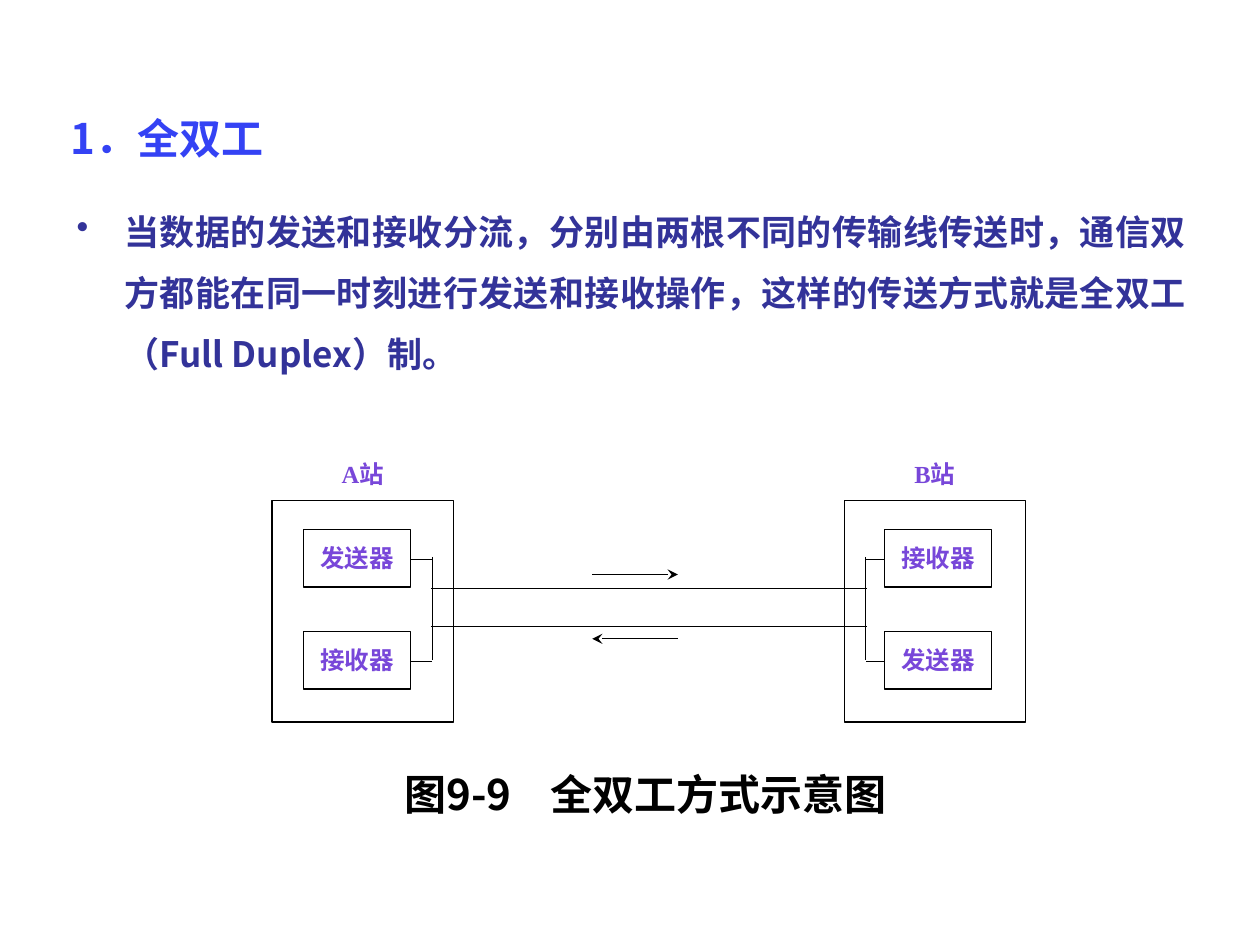
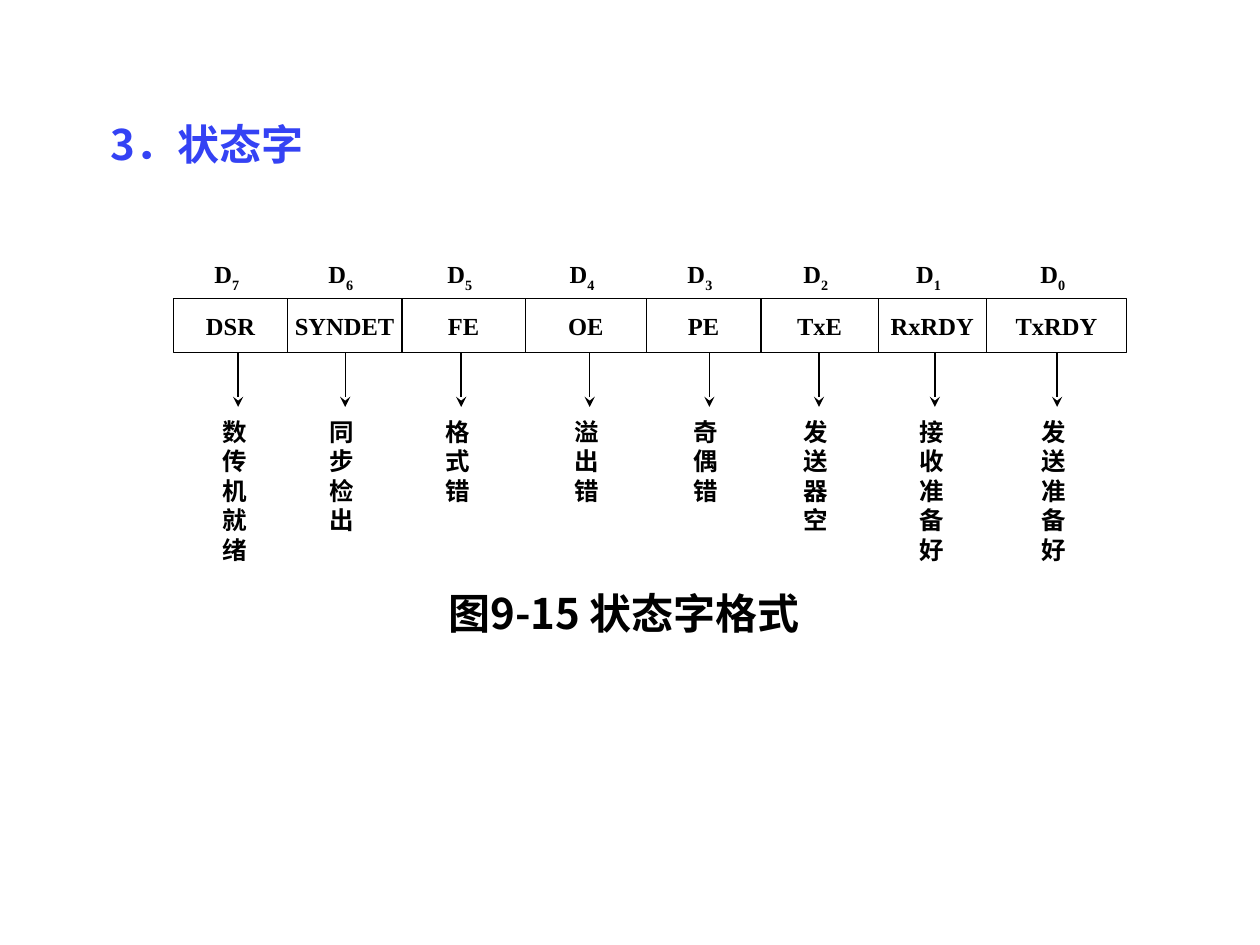
from lxml import etree
from pptx import Presentation
from pptx.dml.color import RGBColor
from pptx.enum.shapes import MSO_CONNECTOR, MSO_SHAPE
from pptx.enum.text import MSO_ANCHOR, PP_ALIGN
from pptx.oxml.ns import qn
from pptx.util import Inches, Pt

COLORS = {"title": "3442F4", "body": "333399", "station": "7847D9",
          "ink": "000000", "paper": "FFFFFF"}
SANS, SERIF = "Noto Sans CJK SC", "Times New Roman"

# name, left edge of the cell, arrow position (inches from the frame), meaning
STATUS_BITS = [
    ("DSR", 0, 0.51, "数传机就绪"),
    ("SYNDET", 0.9, 1.36, "同步检出"),
    ("FE", 1.81, 2.28, "格式错"),
    ("OE", 2.79, 3.3, "溢出错"),
    ("PE", 3.75, 4.25, "奇偶错"),
    ("TxE", 4.66, 5.12, "发送器空"),
    ("RxRDY", 5.59, 6.04, "接收准备好"),
    ("TxRDY", 6.45, 7.01, "发送准备好"),
]


def rgb(name):
    return RGBColor.from_string(COLORS[name])


def style(p, size, color, font, align=PP_ALIGN.LEFT):
    p.alignment = align
    f = p.font
    f.size, f.bold, f.name = Pt(size), True, font
    f.color.rgb = rgb(color)
    ea = etree.SubElement(f._element, qn("a:ea"))
    ea.set("typeface", SANS)


def add_text(s, x, y, w, h, text, size=14, color="ink", font=SERIF,
             align=PP_ALIGN.CENTER, anchor=MSO_ANCHOR.TOP, wrap=True, tab=None):
    tf = s.shapes.add_textbox(Inches(x), Inches(y), Inches(w), Inches(h)).text_frame
    tf.word_wrap, tf.vertical_anchor = wrap, anchor
    p = tf.paragraphs[0]
    p.text = text
    if tab:
        tabs = etree.SubElement(p._p.get_or_add_pPr(), qn("a:tabLst"))
        etree.SubElement(tabs, qn("a:tab"), pos=str(Inches(tab)), algn="l")
    style(p, size, color, font, align)
    return p


def add_title(s, x, y, text):
    add_text(s, x, y, 1.9, 0.5, text, 24, "title", SANS, PP_ALIGN.LEFT, wrap=False)


def add_caption(s, x, y, w, text, tab=None):
    add_text(s, x, y, w, 0.6, text, 24, font=SANS, align=PP_ALIGN.LEFT, tab=tab)


def add_box(s, x, y, w, h, text="", filled=True):
    sp = s.shapes.add_shape(MSO_SHAPE.RECTANGLE, Inches(x), Inches(y),
                            Inches(w), Inches(h))
    sp.shadow.inherit = False
    if filled:
        sp.fill.solid()
        sp.fill.fore_color.rgb = rgb("paper")
    else:
        sp.fill.background()
    sp.line.color.rgb, sp.line.width = rgb("ink"), Pt(0.75)
    if text:
        sp.text_frame.vertical_anchor = MSO_ANCHOR.MIDDLE
        p = sp.text_frame.paragraphs[0]
        p.text = text
        style(p, 14, "station", SERIF, PP_ALIGN.CENTER)


def add_line(s, x1, y1, x2, y2, arrow=False):
    c = s.shapes.add_connector(MSO_CONNECTOR.STRAIGHT, Inches(x1), Inches(y1),
                               Inches(x2), Inches(y2))
    c.line.color.rgb, c.line.width = rgb("ink"), Pt(0.75)
    if arrow:
        etree.SubElement(c.line._get_or_add_ln(), qn("a:tailEnd"), type="stealth")
    etree.SubElement(c._element.spPr, qn("a:effectLst"))


def add_bullet(s, x, y, w, h, text):
    p = add_text(s, x, y, w, h, text, 20, "body", SANS, PP_ALIGN.JUSTIFY)
    p.line_spacing = 1.45
    pPr = p._p.get_or_add_pPr()
    pPr.set("marL", str(Inches(0.38)))
    pPr.set("indent", str(Inches(-0.38)))
    bullet = etree.Element(qn("a:buChar"), char="•")
    pPr.find(qn("a:defRPr")).addprevious(bullet)


def station(s, x, y, name, units, unit_x, bus_x):
    """A station frame whose two units are joined to one vertical bus."""
    unit_w = 0.85
    add_text(s, x, y - 0.38, 1.44, 0.34, name, color="station")
    add_box(s, x, y, 1.44, 1.76)
    edge = unit_x + (unit_w if bus_x > unit_x else 0)
    for i, unit in enumerate(units):
        unit_y = y + 0.23 + 0.81 * i
        add_box(s, x + unit_x, unit_y, unit_w, 0.46, unit)
        add_line(s, x + edge, unit_y + 0.24, x + bus_x, unit_y + 0.24)
    add_line(s, x + bus_x, y + 0.45, x + bus_x, y + 1.27)


def duplex_diagram(s, x, y):
    station(s, x, y, "A站", ["发送器", "接收器"], 0.25, 1.27)
    station(s, x + 4.54, y, "B站", ["接收器", "发送器"], 0.32, 0.17)
    for wire_y in (0.7, 1.0):
        add_line(s, x + 1.26, y + wire_y, x + 4.72, y + wire_y)
    add_line(s, x + 2.54, y + 0.59, x + 3.22, y + 0.59, arrow=True)
    add_line(s, x + 3.22, y + 1.1, x + 2.54, y + 1.1, arrow=True)


def status_word(s, x, y, w, h):
    add_box(s, x, y, w, h, filled=False)
    edges = [left for _, left, _, _ in STATUS_BITS] + [w]
    for i, (name, left, arrow_x, meaning) in enumerate(STATUS_BITS):
        cell_w = edges[i + 1] - left
        if i:
            add_line(s, x + left, y, x + left, y + h)
        p = add_text(s, x + left - 0.03, y - 0.36, cell_w, 0.34, "D")
        r = p.add_run()
        r.text = str(7 - i)
        r.font._element.set("baseline", "-25000")
        add_text(s, x + left - 0.1, y, cell_w + 0.2, h, name, anchor=MSO_ANCHOR.MIDDLE)
        add_line(s, x + arrow_x, y + h, x + arrow_x, y + h + 0.43, arrow=True)
        # The box is one character wide, so the meaning runs downwards
        add_text(s, x + arrow_x - 0.22, y + h + 0.46, 0.4, 1.3, meaning,
                 align=PP_ALIGN.LEFT)


def full_duplex_slide(s):
    add_title(s, 0.46, 0.84, "1．全双工")
    add_bullet(s, 0.51, 1.47, 9, 1.65,
               "当数据的发送和接收分流，分别由两根不同的传输线传送时，"
               "通信双方都能在同一时刻进行发送和接收操作，"
               "这样的传送方式就是全双工（Full Duplex）制。")
    duplex_diagram(s, 2.16, 3.97)
    add_caption(s, 3.11, 6.05, 4.62, "图9-9\t全双工方式示意图", tab=1.16)


def status_word_slide(s):
    add_title(s, 0.78, 0.89, "3．状态字")
    status_word(s, 1.38, 2.37, 7.56, 0.43)
    add_caption(s, 3.46, 4.61, 3.19, "图9-15 状态字格式")


def main():
    prs = Presentation()
    prs.slide_width, prs.slide_height = Inches(10), Inches(7.5)
    for build in (full_duplex_slide, status_word_slide):
        build(prs.slides.add_slide(prs.slide_layouts[6]))
    prs.save("out.pptx")


if __name__ == "__main__":
    main()
